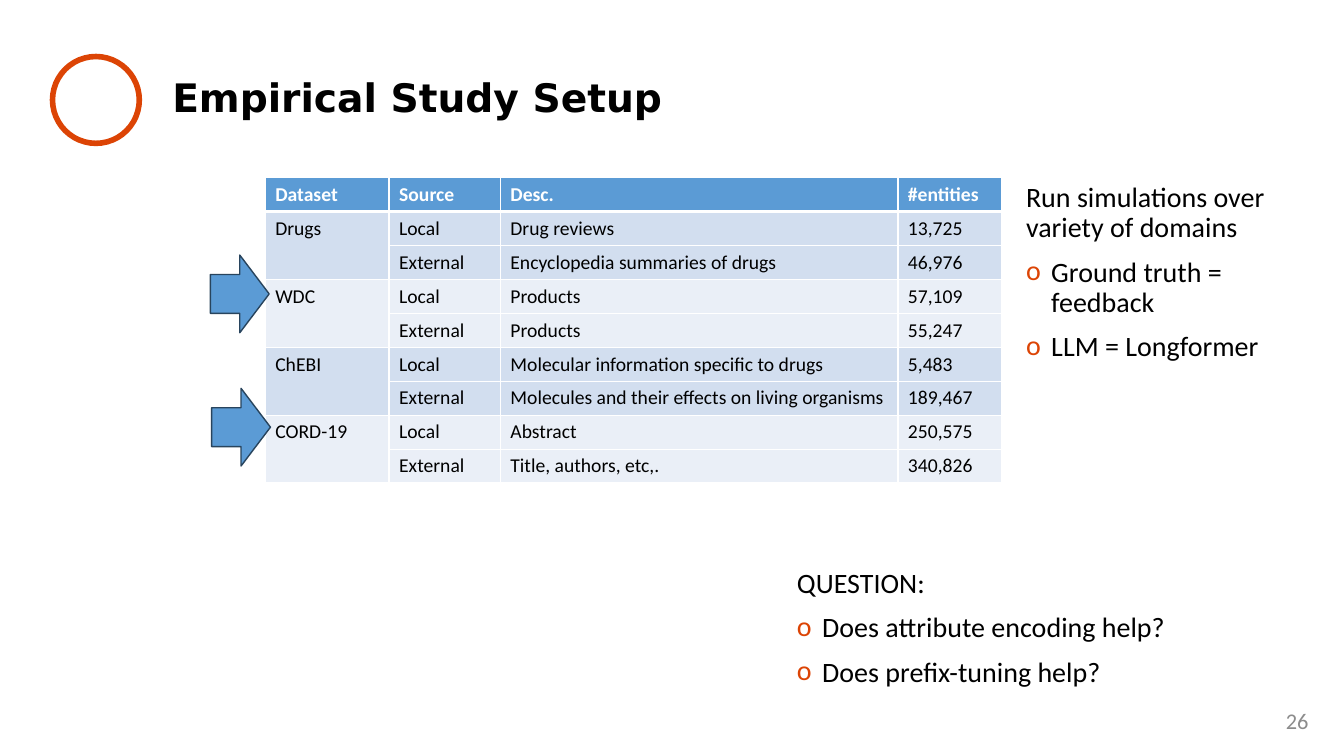
from lxml.etree import SubElement
from pptx import Presentation
from pptx.dml.color import RGBColor
from pptx.enum.shapes import MSO_SHAPE as Preset
from pptx.enum.text import MSO_ANCHOR as Anchor, PP_ALIGN as Align
from pptx.oxml.ns import qn
from pptx.util import Pt

COLORS = {
    "white": "FFFFFF", "black": "000000", "orange": "DC4405", "blue": "5B9BD5",
    "navy": "28445D", "band_dark": "D2DEEF", "band_light": "EAEFF7", "gray": "8C8C8C",
}
COLUMN_WIDTHS = [88.5, 79.5, 284, 74]
ROW_HEIGHT = 24.25
HEADINGS = ["Dataset", "Source", "Desc.", "#entities"]
# Each dataset has a local and an external source
DATASETS = {
    "Drugs": [("Drug reviews", "13,725"), ("Encyclopedia summaries of drugs", "46,976")],
    "WDC": [("Products", "57,109"), ("Products", "55,247")],
    "ChEBI": [("Molecular information specific to drugs", "5,483"),
              ("Molecules and their effects on living organisms", "189,467")],
    "CORD-19": [("Abstract", "250,575"), ("Title, authors, etc,.", "340,826")],
}


def rgb(color):
    return RGBColor.from_string(COLORS[color])


def write(paragraph, text, size, color="black", bold=False, face="Calibri"):
    run = paragraph.add_run()
    run.text = text
    formats = {"name": face, "size": Pt(size), "bold": bold}
    for attribute, value in formats.items():
        setattr(run.font, attribute, value)
    run.font.color.rgb = rgb(color)


def add_text_frame(slide, left, top, width, height, anchor=Anchor.TOP):
    frame = slide.shapes.add_textbox(Pt(left), Pt(top), Pt(width), Pt(height)).text_frame
    frame.word_wrap = True
    frame.vertical_anchor = anchor
    return frame


def add_bullet(paragraph):
    properties = paragraph._p.get_or_add_pPr()
    properties.set("marL", str(Pt(18)))
    properties.set("indent", str(-Pt(18)))
    bullet_color = SubElement(properties, qn("a:buClr"))
    SubElement(bullet_color, qn("a:srgbClr"), val=COLORS["orange"])
    SubElement(properties, qn("a:buFont"), typeface="Calibri")
    SubElement(properties, qn("a:buChar"), char="o")


def add_points(slide, box, lead, points):
    """A lead line followed by bulleted points."""
    frame = add_text_frame(slide, *box)
    for index, text in enumerate([lead, *points]):
        paragraph = frame.add_paragraph() if index else frame.paragraphs[0]
        if index:
            add_bullet(paragraph)
            paragraph.space_before = Pt(10)
        paragraph.line_spacing = 0.9
        write(paragraph, text, 20)


def add_outlined(slide, preset, box, fill, line, weight):
    shape = slide.shapes.add_shape(preset, *map(Pt, box))
    shape.shadow.inherit = False
    shape.fill.solid()
    shape.fill.fore_color.rgb = rgb(fill)
    shape.line.color.rgb = rgb(line)
    shape.line.width = Pt(weight)


def style_cell(cell, fill, top, bottom):
    """Band fill with white rules; top and bottom are rule weights."""
    cell.fill.solid()
    cell.fill.fore_color.rgb = rgb(fill)
    properties = cell._tc.get_or_add_tcPr()
    weights = {"a:lnL": 1, "a:lnR": 1, "a:lnT": top, "a:lnB": bottom}
    for position, (side, weight) in enumerate(weights.items()):
        rule = SubElement(properties, qn(side), w=str(Pt(weight)))
        solid = SubElement(rule, qn("a:solidFill"))
        SubElement(solid, qn("a:srgbClr"), val=COLORS["white"])
        properties.insert(position, rule)


def add_dataset_table(slide, left, top):
    rows = [HEADINGS]
    for dataset, (local, external) in DATASETS.items():
        rows += [[dataset, "Local", *local], ["", "External", *external]]
    table = slide.shapes.add_table(
        len(rows), len(HEADINGS), Pt(left), Pt(top),
        Pt(sum(COLUMN_WIDTHS)), Pt(ROW_HEIGHT * len(rows))).table
    table.horz_banding = False
    for column, width in zip(table.columns, COLUMN_WIDTHS):
        column.width = Pt(width)

    for r, values in enumerate(rows):
        table.rows[r].height = Pt(ROW_HEIGHT)
        header = r == 0
        band = "band_dark" if (r - 1) // 2 % 2 == 0 else "band_light"
        for c, text in enumerate(values):
            cell = table.cell(r, c)
            style_cell(cell, "blue" if header else band,
                       top=3 if r == 1 else 1, bottom=3 if header else 1)
            if text:
                write(cell.text_frame.paragraphs[0], text, 14,
                      "white" if header else "black", header)

    # Each dataset name spans its two sources
    for r in range(1, len(rows), 2):
        table.cell(r, 0).merge(table.cell(r + 1, 0))


def main():
    deck = Presentation()
    deck.slide_width, deck.slide_height = Pt(960), Pt(540)
    slide = deck.slides.add_slide(deck.slide_layouts[6])

    # Title with ring
    add_outlined(slide, Preset.OVAL, (37.5, 40.4, 62, 62), "white", "orange", 4)
    title = add_text_frame(slide, 116, 51.8, 778, 39, Anchor.MIDDLE).paragraphs[0]
    title.line_spacing = 0.9
    write(title, "Empirical Study Setup", 28, bold=True, face="DejaVu Sans")

    # Setup notes and questions
    add_points(slide, (725.8, 127.4, 193, 168), "Run simulations over variety of domains",
               ["Ground truth = feedback", "LLM = Longformer"])
    add_points(slide, (562.2, 403.2, 300, 101), "QUESTION:",
               ["Does attribute encoding help?", "Does prefix-tuning help?"])

    # Slide number
    number = add_text_frame(slide, 725.8, 500.4, 216, 29, Anchor.MIDDLE).paragraphs[0]
    number.alignment = Align.RIGHT
    write(number, "26", 16, "gray")

    # Datasets, with arrows at the highlighted ones
    add_dataset_table(slide, 189.4, 126.9)
    for left, top in [(151.2, 277.4), (150.3, 182.2)]:
        add_outlined(slide, Preset.RIGHT_ARROW, (left, top, 42, 55.5), "blue", "navy", 1)

    deck.save("out.pptx")


if __name__ == "__main__":
    main()
